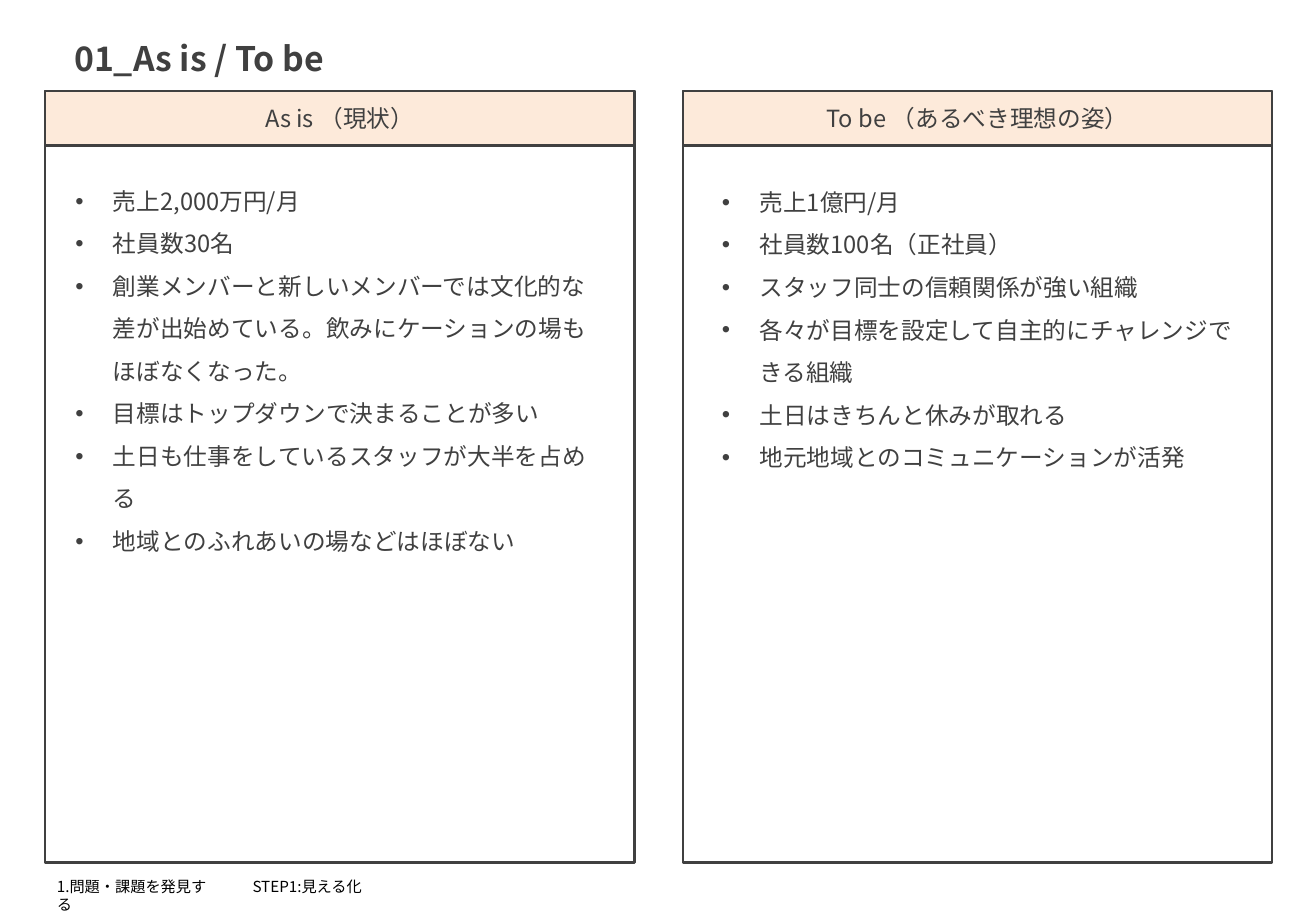
"""Build the As is / To be comparison slide."""
import dataclasses
import typing

import lxml.etree
import pptx
import pptx.dml.color
import pptx.enum.lang
import pptx.enum.shapes
import pptx.enum.text
import pptx.oxml.ns
import pptx.util

Inches = pptx.util.Inches
Pt = pptx.util.Pt
Align = pptx.enum.text.PP_ALIGN
Anchor = pptx.enum.text.MSO_ANCHOR


@dataclasses.dataclass(frozen=True)
class Theme:
    face: str = "Noto Sans CJK JP"
    ink: str = "404040"
    black: str = "000000"
    white: str = "FFFFFF"
    peach: str = "FDEADA"
    title: int = 20
    text: int = 14
    foot: int = 9
    line: float = 1.5


@dataclasses.dataclass(frozen=True)
class Box:
    left: float
    top: float
    width: float
    height: float


@dataclasses.dataclass(frozen=True)
class Panel:
    left: float
    head: str
    list_box: Box
    items: tuple[str, ...]


@dataclasses.dataclass(frozen=True)
class Note:
    text: str
    box: Box
    wrap: bool


THEME = Theme()
TOP, WIDTH, HEIGHT, HEAD = 0.75, 4.85, 6.35, 0.45
INDENT = 0.31

PANELS = (
    Panel(0.37, "As is （現状）", Box(0.52, 1.37, 4.55, 3.28), (
        "売上2,000万円/月",
        "社員数30名",
        "創業メンバーと新しいメンバーでは文化的な差が出始めている。飲みにケーションの場もほぼなくなった。",
        "目標はトップダウンで決まることが多い",
        "土日も仕事をしているスタッフが大半を占める",
        "地域とのふれあいの場などはほぼない",
    )),
    Panel(5.62, "To be （あるべき理想の姿）", Box(5.84, 1.38, 4.48, 2.57), (
        "売上1億円/月",
        "社員数100名（正社員）",
        "スタッフ同士の信頼関係が強い組織",
        "各々が目標を設定して自主的にチャレンジできる組織",
        "土日はきちんと休みが取れる",
        "地元地域とのコミュニケーションが活発",
    )),
)

NOTES = (
    Note("1.問題・課題を発見する", Box(0.37, 7.17, 1.44, 0.25), True),
    Note("STEP1:見える化", Box(1.98, 7.17, 1.14, 0.25), False),
)


def apply(thing: typing.Any, form: dict[str, typing.Any]) -> None:
    """Set each named value on an object."""
    for name, value in form.items():
        setattr(thing, name, value)


def span(box: Box) -> tuple[int, ...]:
    """Return the box in slide units."""
    return tuple(Inches(n) for n in dataclasses.astuple(box))


def place(shape: typing.Any, box: Box) -> None:
    """Move a shape to a box."""
    apply(shape, dict(zip(("left", "top", "width", "height"), span(box))))


def write(shape: typing.Any, lines: tuple[str, ...], size: int, color: str,
          bold: bool = False, wrap: bool = True, align: Align = Align.LEFT,
          anchor: Anchor = Anchor.TOP, space: float = 1.0) -> None:
    """Fill a shape with styled lines of text."""
    frame = shape.text_frame
    apply(frame, {"word_wrap": wrap, "vertical_anchor": anchor,
                  "auto_size": pptx.enum.text.MSO_AUTO_SIZE.NONE})
    for i, line in enumerate(lines):
        para = frame.add_paragraph() if i else frame.paragraphs[0]
        apply(para, {"alignment": align, "line_spacing": space, "space_before": Pt(0)})
        run = para.add_run()
        run.text = line
        apply(run.font, {"name": THEME.face, "size": Pt(size), "bold": bold,
                         "language_id": pptx.enum.lang.MSO_LANGUAGE_ID.JAPANESE})
        run.font.color.rgb = pptx.dml.color.RGBColor.from_string(color)
        latin = run.font._element.find(pptx.oxml.ns.qn("a:latin"))
        east = lxml.etree.Element(pptx.oxml.ns.qn("a:ea"), typeface=THEME.face)
        latin.addnext(east)


def indent(shape: typing.Any) -> None:
    """Hang each bullet by the same width."""
    for para in shape.text_frame.paragraphs:
        props = para._p.get_or_add_pPr()
        props.set("marL", str(Inches(INDENT)))
        props.set("indent", str(-Inches(INDENT)))


def block(slide: typing.Any, box: Box, fill: str) -> typing.Any:
    """Draw an outlined rectangle."""
    shape = slide.shapes.add_shape(pptx.enum.shapes.MSO_SHAPE.RECTANGLE, *span(box))
    shape.shadow.inherit = False
    shape.fill.solid()
    shape.fill.fore_color.rgb = pptx.dml.color.RGBColor.from_string(fill)
    shape.line.color.rgb = pptx.dml.color.RGBColor.from_string(THEME.ink)
    shape.line.width = Pt(THEME.line)
    return shape


def draw(slide: typing.Any, panel: Panel, body: typing.Any) -> None:
    """Draw a panel with its heading and list."""
    block(slide, Box(panel.left, TOP, WIDTH, HEIGHT), THEME.white)
    head = block(slide, Box(panel.left, TOP, WIDTH, HEAD), THEME.peach)
    write(head, (panel.head,), THEME.text, THEME.ink,
          align=Align.CENTER, anchor=Anchor.MIDDLE)
    place(body, panel.list_box)
    write(body, panel.items, THEME.text, THEME.ink, space=1.5)
    indent(body)
    slide.shapes._spTree.append(body._element)


def main() -> None:
    """Build and save the slide."""
    deck = pptx.Presentation()
    apply(deck, {"slide_width": Inches(10.83), "slide_height": Inches(7.5)})
    slide = deck.slides.add_slide(deck.slide_layouts.get_by_name("Two Content"))
    title, *bodies = slide.placeholders
    place(title, Box(0.51, 0.26, 2.61, 0.44))
    write(title, ("01_As is / To be",), THEME.title, THEME.ink,
          bold=True, wrap=False, anchor=Anchor.MIDDLE)
    for panel, body in zip(PANELS, bodies):
        draw(slide, panel, body)
    for note in NOTES:
        shape = slide.shapes.add_textbox(*span(note.box))
        write(shape, (note.text,), THEME.foot, THEME.black, wrap=note.wrap)
    deck.save("out.pptx")


if __name__ == "__main__":
    main()
